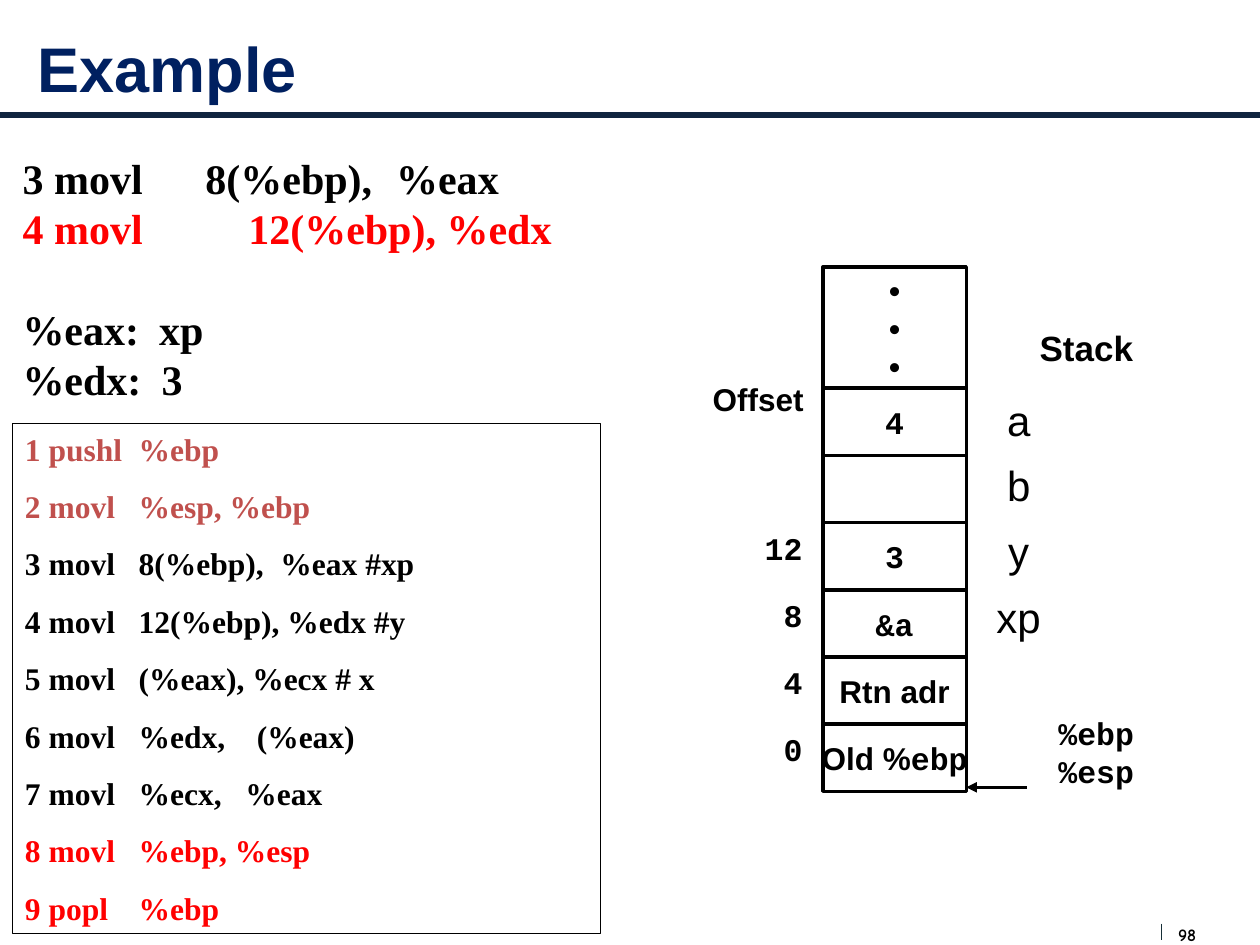
from lxml import etree
from pptx import Presentation
from pptx.dml.color import RGBColor
from pptx.enum import shapes, text
from pptx.oxml import ns
from pptx.util import Pt

BLACK = RGBColor(0x00, 0x00, 0x00)
WHITE = RGBColor(0xFF, 0xFF, 0xFF)
RED = RGBColor(0xFF, 0x00, 0x00)
BRICK = RGBColor(0xC0, 0x50, 0x4D)
TITLE_BLUE = RGBColor(0x00, 0x20, 0x60)
RULE_BLUE = RGBColor(0x10, 0x25, 0x3F)
SLATE = RGBColor(0x17, 0x2F, 0x37)

SANS, SERIF, MONO = "Arial", "Times New Roman", "Courier New"
LEFT, CENTER, RIGHT = text.PP_ALIGN.LEFT, text.PP_ALIGN.CENTER, text.PP_ALIGN.RIGHT


def set_tabs(paragraph, stops):
    properties = paragraph._p.get_or_add_pPr()
    tab_list = etree.SubElement(properties, ns.qn("a:tabLst"))
    for stop in stops:
        etree.SubElement(tab_list, ns.qn("a:tab"), pos=str(Pt(stop)), algn="l")


def add_run(paragraph, wording, size, font=SANS, color=BLACK, bold=True):
    run = paragraph.add_run()
    run.text = wording
    run.font.size = Pt(size)
    run.font.name = font
    run.font.bold = bold
    run.font.color.rgb = color


def set_frame(frame, anchor=text.MSO_ANCHOR.TOP, wrap=False, margins=(7.2, 3.6, 7.2, 3.6)):
    frame.word_wrap = wrap
    frame.vertical_anchor = anchor
    (frame.margin_left, frame.margin_top,
     frame.margin_right, frame.margin_bottom) = (Pt(margin) for margin in margins)


def write_lines(frame, lines, size, font=SANS, align=CENTER, before=0, bold=True):
    """Fill a frame; a line is (wording, colour, tab stops, space before)."""
    for index, (wording, color, stops, extra) in enumerate(lines):
        paragraph = frame.add_paragraph() if index else frame.paragraphs[0]
        paragraph.alignment = align
        paragraph.line_spacing = Pt(1.2 * size)
        if index:
            paragraph.space_before = Pt(before + extra)
        if stops:
            set_tabs(paragraph, stops)
        add_run(paragraph, wording, size, font, color, bold)


def plain(*wordings):
    return [(wording, BLACK, (), 0) for wording in wordings]


def add_label(slide, box, wordings, size, font=SANS, align=CENTER, margins=(7.2, 3.6, 7.2, 3.6)):
    label = slide.shapes.add_textbox(*map(Pt, box))
    set_frame(label.text_frame, margins=margins)
    write_lines(label.text_frame, plain(*wordings), size, font, align)


def add_line(slide, start, end, color, width, arrow=False):
    line = slide.shapes.add_connector(
        shapes.MSO_CONNECTOR.STRAIGHT, *map(Pt, (*start, *end)))
    line.line.color.rgb = color
    line.line.width = Pt(width)
    if arrow:
        etree.SubElement(line.line._get_or_add_ln(), ns.qn("a:tailEnd"), type="triangle")
    etree.SubElement(line._element.spPr, ns.qn("a:effectLst"))


def add_box(slide, box, line_width, fill=None):
    shape = slide.shapes.add_shape(shapes.MSO_SHAPE.RECTANGLE, *map(Pt, box))
    shape.shadow.inherit = False
    if fill is None:
        shape.fill.background()
    else:
        shape.fill.solid()
        shape.fill.fore_color.rgb = fill
    shape.line.color.rgb = BLACK
    shape.line.width = Pt(line_width)
    return shape


def add_header(slide, left, top, width, height):
    title = slide.shapes.title
    title.left, title.top, title.width, title.height = map(Pt, (left, top, width, height))
    set_frame(title.text_frame, text.MSO_ANCHOR.MIDDLE, wrap=True)
    paragraph = title.text_frame.paragraphs[0]
    paragraph.alignment = LEFT
    add_run(paragraph, "Example", 36, color=TITLE_BLUE)
    add_line(slide, (0, 65.7), (720, 65.7), RULE_BLUE, 3)


def add_page_number(slide, left, top):
    add_line(slide, (left, top), (left, top + 9.4), SLATE, 0.75)
    add_label(slide, (left + 9.4, top, 24.5, 12.2), ["98"], 10, "Comic Neue", LEFT, (0, 0, 0, 0))


def add_current_step(slide, left, top, width, height):
    lines = [
        ("3 movl\t8(%ebp),\t%eax", BLACK, (104.5, 213.5), 0),
        ("4 movl\t12(%ebp), %edx", RED, (129,), 0),
        ("%eax:\txp", BLACK, (78,), 28.8),
        ("%edx:\t3", BLACK, (79.5,), 0),
    ]
    step = slide.shapes.add_textbox(*map(Pt, (left, top, width, height)))
    set_frame(step.text_frame, wrap=True)
    write_lines(step.text_frame, lines, 24, SERIF, LEFT)


def add_listing(slide, left, top, width, height):
    lines = [
        ("1 pushl\t%ebp", BRICK, (65,), 0),
        ("2 movl\t%esp, %ebp", BRICK, (65,), 0),
        ("3 movl\t8(%ebp),\t%eax #xp", BLACK, (65, 146), 0),
        ("4 movl\t12(%ebp), %edx #y", BLACK, (65,), 0),
        ("5 movl\t(%eax), %ecx # x", BLACK, (65,), 0),
        ("6 movl\t%edx,\t(%eax)", BLACK, (65, 132.5), 0),
        ("7 movl\t%ecx,\t%eax", BLACK, (65, 126), 0),
        ("8 movl\t%ebp, %esp", RED, (65,), 0),
        ("9 popl\t%ebp", RED, (65,), 0),
    ]
    listing = add_box(slide, (left, top, width, height), 0.75)
    set_frame(listing.text_frame, wrap=True)
    write_lines(listing.text_frame, lines, 18, SERIF, LEFT, before=11.2)


def add_stack(slide, left, top, width):
    """Draw the memory cells with their offsets, pointers and captions."""
    row_height, dots_height = 38.4, 69.2
    dots = add_box(slide, (left, top, width, dots_height), 2, WHITE)
    set_frame(dots.text_frame, text.MSO_ANCHOR.MIDDLE)
    write_lines(dots.text_frame, plain("•", "•", "•"), 18)

    rows = [
        ([("4", MONO)], None),
        ([], None),
        ([("3", MONO)], "12"),
        ([("&a", MONO)], "8"),
        ([("Rtn adr", SANS)], "4"),
        ([("Old %", SANS), ("ebp", MONO)], "0"),
    ]
    for index, (runs, offset) in enumerate(rows):
        row_top = top + dots_height + index * row_height
        cell = add_box(slide, (left, row_top, width, row_height), 2, WHITE)
        set_frame(cell.text_frame, text.MSO_ANCHOR.MIDDLE)
        paragraph = cell.text_frame.paragraphs[0]
        paragraph.alignment = CENTER
        for wording, font in runs:
            add_run(paragraph, wording, 18, font)
        if offset:
            add_label(slide, (left - 40.4, row_top, 46.8, 28.8), [offset], 18, MONO,
                      RIGHT, (7.2, 3.6, 18, 3.6))

    right = left + width
    add_label(slide, (left - 70, top + 61.2, 66.2, 28.8), ["Offset"], 18)
    add_label(slide, (right + 34.7, top + 30.2, 67.7, 31.7), ["Stack"], 20)
    add_label(slide, (right + 45.4, top + 252, 57.6, 50.4), ["%ebp", "%esp"], 18, MONO)
    add_line(slide, (right + 34.6, top + 297.3), (right, top + 297.3), BLACK, 2, arrow=True)


def add_variable_names(slide, left, top, width, height):
    names = ["a", "b", "y", "xp"]
    table = slide.shapes.add_table(len(names), 1, *map(Pt, (left, top, width, height))).table
    table.first_row = table.horz_banding = False
    for index, name in enumerate(names):
        table.rows[index].height = Pt(height / len(names))
        cell = table.cell(index, 0)
        cell.fill.solid()
        cell.fill.fore_color.rgb = WHITE
        cell.margin_left = cell.margin_right = Pt(7.2)
        cell.margin_top = cell.margin_bottom = Pt(3.6)
        write_lines(cell.text_frame, plain(name), 24, bold=False)


def main():
    presentation = Presentation()
    presentation.slide_width, presentation.slide_height = Pt(720), Pt(540)
    slide = presentation.slides.add_slide(presentation.slide_layouts[5])
    add_header(slide, 14.4, 0, 686, 77)
    add_page_number(slide, 663.8, 527.8)
    add_current_step(slide, 5.8, 83.5, 324, 151.2)
    add_stack(slide, 470.2, 152.6, 82)
    add_variable_names(slide, 558, 221.8, 48.2, 150.4)
    add_listing(slide, 7.2, 241.9, 336.2, 291.6)
    presentation.save("out.pptx")


if __name__ == "__main__":
    main()
